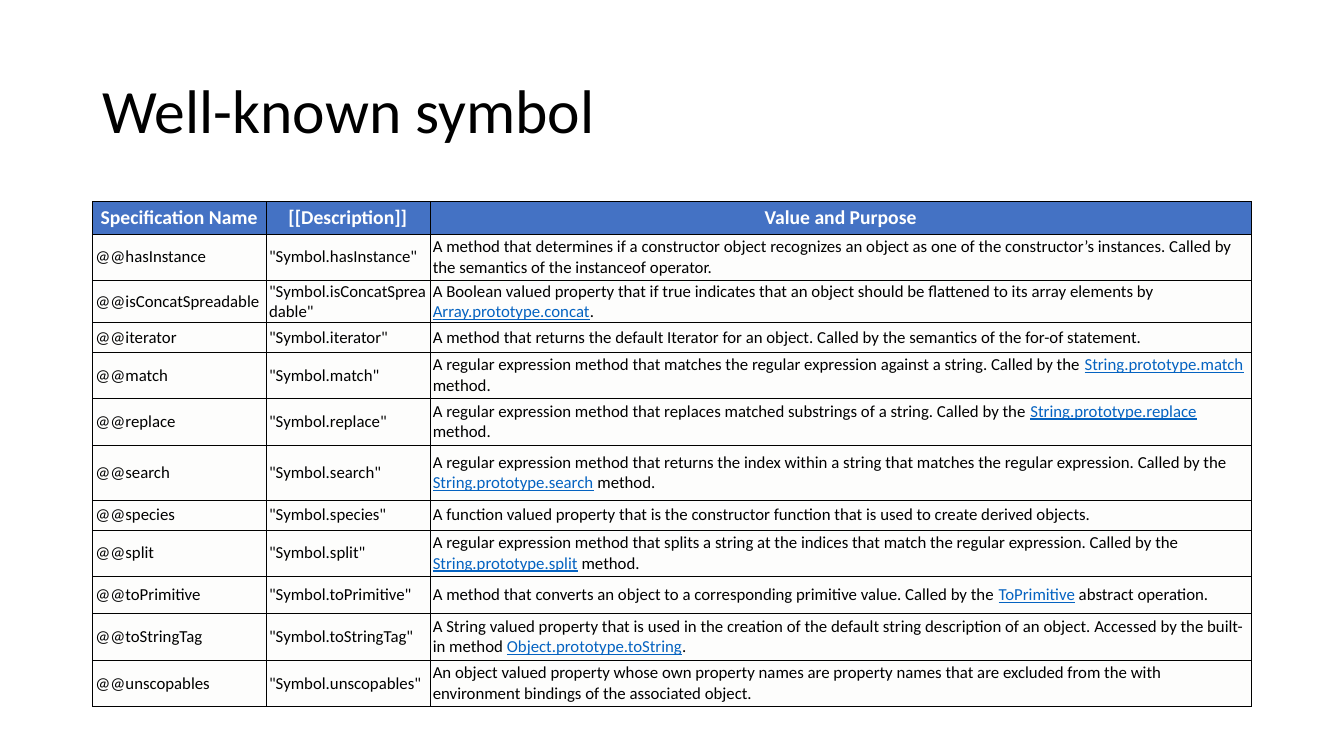
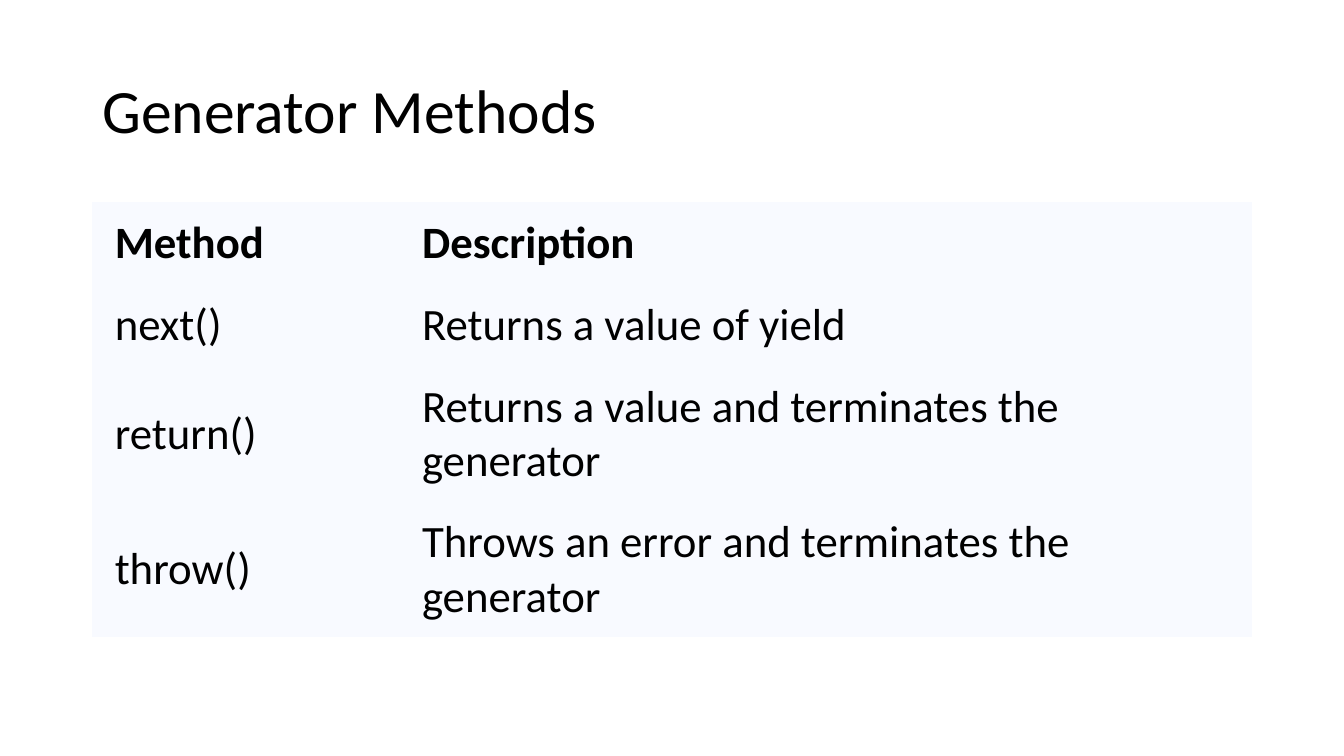
"""Build two slides of reference tables on symbols and generators."""
from lxml.etree import SubElement
from pptx import Presentation
from pptx.dml.color import RGBColor as Color
from pptx.enum.text import MSO_ANCHOR as Anchor, PP_ALIGN as Align
from pptx.oxml.ns import qn
from pptx.util import Pt

BLACK = Color(0x00, 0x00, 0x00)
WHITE = Color(0xFF, 0xFF, 0xFF)
HEADER_BLUE = Color(0x44, 0x72, 0xC4)
LINK_BLUE = Color(0x05, 0x63, 0xC1)
OFF_WHITE = Color(0xFD, 0xFD, 0xFC)
PALE_BLUE = Color(0xF8, 0xFA, 0xFF)

PLAIN_TABLE = "{2D5ABB26-0587-4C30-8999-92F81FD0307C}"
LEFT, WIDTH = Pt(66), Pt(828)

SYMBOL_HEADER = ("Specification Name", "[[Description]]", "Value and Purpose")
SYMBOL_PURPOSES = {
    "hasInstance": "A method that determines if a constructor object recognizes an object as one of the constructor’s instances. Called by the semantics of the instanceof operator.",
    "isConcatSpreadable": "A Boolean valued property that if true indicates that an object should be flattened to its array elements by |Array.prototype.concat|.",
    "iterator": "A method that returns the default Iterator for an object. Called by the semantics of the for-of statement.",
    "match": "A regular expression method that matches the regular expression against a string. Called by the |String.prototype.match| method.",
    "replace": "A regular expression method that replaces matched substrings of a string. Called by the |String.prototype.replace| method.",
    "search": "A regular expression method that returns the index within a string that matches the regular expression. Called by the |String.prototype.search| method.",
    "species": "A function valued property that is the constructor function that is used to create derived objects.",
    "split": "A regular expression method that splits a string at the indices that match the regular expression. Called by the |String.prototype.split| method.",
    "toPrimitive": "A method that converts an object to a corresponding primitive value. Called by the |ToPrimitive| abstract operation.",
    "toStringTag": "A String valued property that is used in the creation of the default string description of an object. Accessed by the built-in method |Object.prototype.toString|.",
    "unscopables": "An object valued property whose own property names are property names that are excluded from the with environment bindings of the associated object.",
}
SYMBOL_HEIGHTS = (23, 33.3, 26.5, 21, 33.3, 33.3, 39.5, 21, 33.3, 26.5, 33.3, 33.3)

GENERATOR_ROWS = (
    ("Method", "Description"),
    ("next()", "Returns a value of yield"),
    ("return()", "Returns a value and terminates the generator"),
    ("throw()", "Throws an error and terminates the generator"),
)


class SlideBuilder:
    """Hold the shared style and place elements on the current slide."""

    font_name = "Calibri"

    def __init__(self):
        """Start a wide deck."""
        self.deck = Presentation()
        self.deck.slide_width, self.deck.slide_height = Pt(960), Pt(540)
        self.slide = None

    def start_slide(self, title):
        """Add a blank slide with a title."""
        self.slide = self.deck.slides.add_slide(self.deck.slide_layouts[6])
        box = self.slide.shapes.add_textbox(LEFT, Pt(28.8), WIDTH, Pt(104.4))
        frame = box.text_frame
        frame.word_wrap = True
        frame.vertical_anchor = Anchor.MIDDLE
        para = frame.paragraphs[0]
        para.line_spacing = 0.9
        self.add_text(para, title, 44, BLACK)

    def add_text(self, para, text, size, color, bold=False):
        """Fill a paragraph, styling the parts between bars as links."""
        font = para.font
        font.name, font.size, font.bold = self.font_name, Pt(size), bold
        font.color.rgb = color
        for index, part in enumerate(text.split("|")):
            span = para.add_run()
            span.text = part
            if index % 2:
                span.font.color.rgb = LINK_BLUE
                span.font.underline = True

    def add_table(self, rows, widths, heights):
        """Add an unstyled table and return it."""
        frame = self.slide.shapes.add_table(
            len(rows), len(widths), LEFT, Pt(144), WIDTH, Pt(sum(heights)))
        table = frame.table
        table._tbl.tblPr.find(qn("a:tableStyleId")).text = PLAIN_TABLE
        table.horz_banding = False
        for column, width in zip(table.columns, widths):
            column.width = Pt(width)
        for row, height in zip(table.rows, heights):
            row.height = Pt(height)
        return table

    def fill_cell(self, cell, text, size, color, fill, insets, bold=False, align=Align.LEFT):
        """Set the text and fill of one table cell."""
        cell.fill.solid()
        cell.fill.fore_color.rgb = fill
        cell.vertical_anchor = Anchor.MIDDLE
        cell.margin_left = cell.margin_right = Pt(insets[0])
        cell.margin_top = cell.margin_bottom = Pt(insets[1])
        para = cell.text_frame.paragraphs[0]
        para.alignment = align
        self.add_text(para, text, size, color, bold)

    def outline_cell(self, cell, color, width):
        """Draw a line on every side of a cell."""
        properties = cell._tc.get_or_add_tcPr()
        for index, side in enumerate(("lnL", "lnR", "lnT", "lnB")):
            line = SubElement(properties, qn(f"a:{side}"), w=str(Pt(width)))
            SubElement(SubElement(line, qn("a:solidFill")), qn("a:srgbClr"), val=str(color))
            properties.insert(index, line)


def add_symbol_slide(builder):
    """Add the table of well-known symbols."""
    builder.start_slide("Well-known symbol")
    rows = [SYMBOL_HEADER]
    rows += [(f"@@{name}", f'"Symbol.{name}"', purpose)
             for name, purpose in SYMBOL_PURPOSES.items()]
    table = builder.add_table(rows, (124, 117, 587), SYMBOL_HEIGHTS)
    insets = (2.2, 0.7)
    for row_index, row in enumerate(rows):
        for column_index, text in enumerate(row):
            cell = table.cell(row_index, column_index)
            if row_index == 0:
                builder.fill_cell(cell, text, 14, WHITE, HEADER_BLUE, insets, True, Align.CENTER)
            else:
                builder.fill_cell(cell, text, 12, BLACK, OFF_WHITE, insets)
            builder.outline_cell(cell, BLACK, 0.38)


def add_generator_slide(builder):
    """Add the table of generator methods."""
    builder.start_slide("Generator Methods")
    table = builder.add_table(GENERATOR_ROWS, (219.5, 608.5), (59, 59, 96.5, 96.5))
    for row_index, row in enumerate(GENERATOR_ROWS):
        for column_index, text in enumerate(row):
            builder.fill_cell(table.cell(row_index, column_index), text, 32, BLACK,
                              PALE_BLUE, (16, 8), bold=row_index == 0)


def main():
    """Build and save the deck."""
    builder = SlideBuilder()
    add_symbol_slide(builder)
    add_generator_slide(builder)
    builder.deck.save("out.pptx")


if __name__ == "__main__":
    main()
